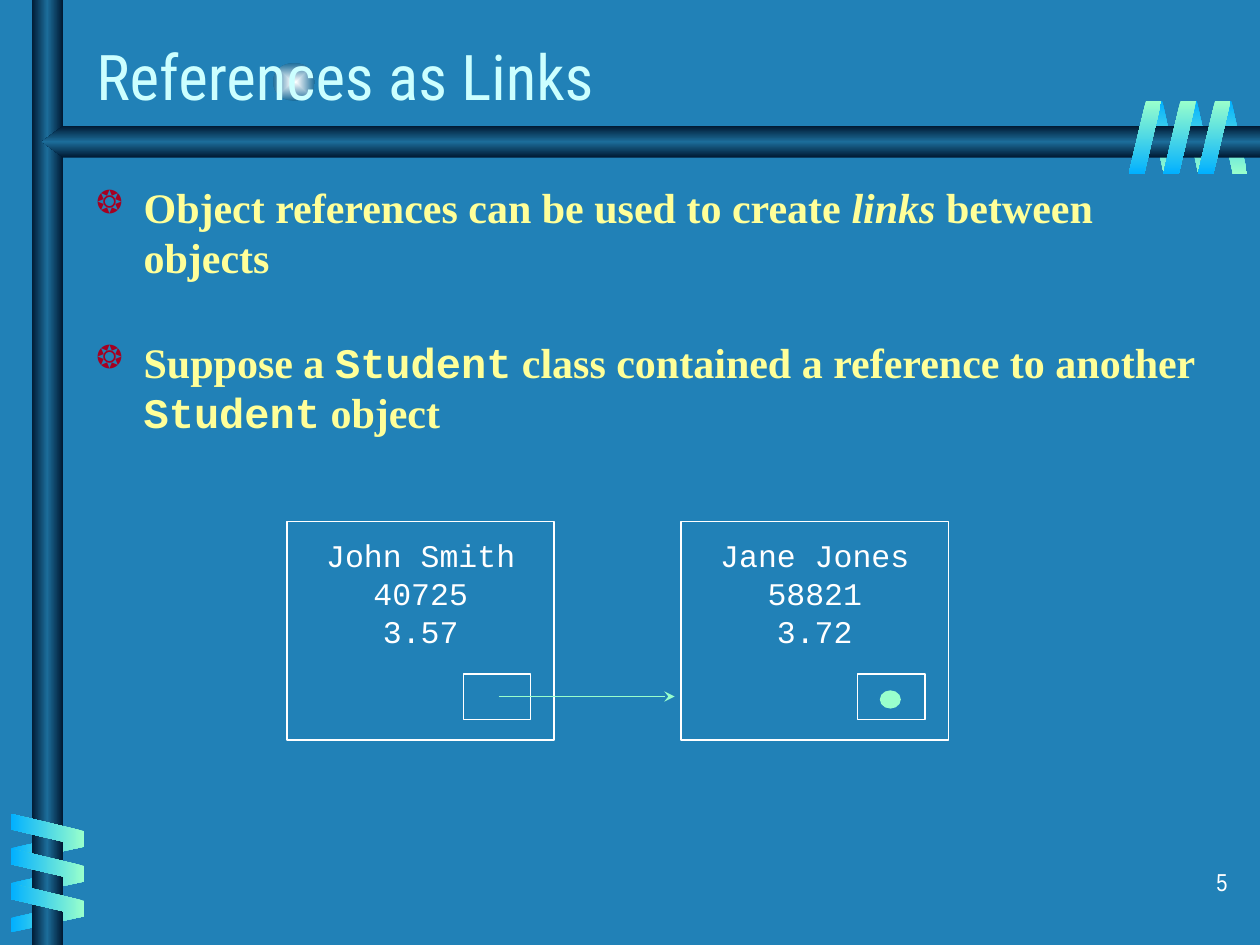
from pptx import Presentation
from pptx import oxml as ox
from pptx import util as u
from pptx.dml import color
from pptx.enum import shapes, text
from pptx.oxml import ns

Pt = u.Pt
RGB = color.RGBColor
KIND = shapes.MSO_SHAPE
SKY = RGB(0x21, 0x81, 0xB7)
ICE = RGB(0xCC, 0xFF, 0xFF)
CREAM = RGB(0xFF, 0xFF, 0x99)
WHITE = RGB(0xFF, 0xFF, 0xFF)
PEARL = RGB(0xFE, 0xFF, 0xFF)
MINT = RGB(0x99, 0xFF, 0xCC)
AZURE = RGB(0x01, 0xB0, 0xFF)
NAVY = RGB(0x00, 0x19, 0x32)
STEEL = RGB(0x1C, 0x6D, 0x9A)
RED = RGB(0xA5, 0x00, 0x21)

HEAD = {"name": "Roboto Condensed", "size": Pt(36), "color": ICE}
BODY = {"name": "Times New Roman", "size": Pt(24), "bold": True, "color": CREAM}
SLANT = {**BODY, "italic": True}
CODE = {**BODY, "name": "Courier New"}
DATA = {"name": "Courier New", "size": Pt(18), "color": WHITE}
PAGE = {"name": "Arial Narrow", "size": Pt(14), "color": WHITE}


def put(item, vals):
    """Set each attribute named in vals."""
    for key, val in vals.items():
        setattr(item, key, val)


def write(para, words, style):
    """Add one styled run to a paragraph."""
    run = para.add_run()
    run.text = words
    put(run.font, {k: v for k, v in style.items() if k != "color"})
    run.font.color.rgb = style["color"]


def blend(shape, tones, angle=None):
    """Fill a shape with evenly spaced tones, linear or from the centre."""
    step = 100000 // (len(tones) - 1)
    stops = "".join(
        f'<a:gs pos="{i * step}"><a:srgbClr val="{tone}"/></a:gs>'
        for i, tone in enumerate(tones))
    if angle is None:
        way = ('<a:path path="rect"><a:fillToRect l="50000" t="50000" '
               'r="50000" b="50000"/></a:path>')
    else:
        way = f'<a:lin ang="{angle * 60000}" scaled="0"/>'
    shape.fill.gradient()
    props = shape._element.spPr
    props.replace(props.find(ns.qn("a:gradFill")), ox.parse_xml(
        f'<a:gradFill {ns.nsdecls("a")} rotWithShape="0">'
        f'<a:gsLst>{stops}</a:gsLst>{way}</a:gradFill>'))
    shape.line.fill.background()
    shape.shadow.inherit = False


def draw(slide, kind, box, edge=None):
    """Add a bare preset shape, with a thin edge if a colour is given."""
    shape = slide.shapes.add_shape(kind, *map(Pt, box))
    shape.shadow.inherit = False
    shape.fill.background()
    if edge is not None:
        shape.line.color.rgb = edge
        shape.line.width = Pt(1)
    return shape


def coil(slide, box, step, turn, tones, angle, flip=False):
    """Place three slanted bands, each a step from the last."""
    left, top, wide, high = box
    for i in range(3):
        spot = (left + i * step[0], top + i * step[1], wide, high)
        band = draw(slide, KIND.PARALLELOGRAM, spot)
        band.adjustments[0] = 0.53
        band.rotation = turn
        if flip:
            band._element.spPr.xfrm.set("flipH", "1")
        blend(band, tones, angle)


def rails(slide, post, beam):
    """Place the upright post and the pointed beam."""
    blend(draw(slide, KIND.RECTANGLE, post), (NAVY, STEEL, NAVY), 180)
    left, top, wide, high = beam
    right, base, neck = left + wide, top + high, left + 12
    ends = [(neck, top), (left, top + high / 2), (neck, base), (right, base)]
    path = slide.shapes.build_freeform(Pt(right), Pt(top))
    path.add_line_segments([(Pt(x), Pt(y)) for x, y in ends], close=True)
    blend(path.convert_to_shape(), (NAVY, STEEL, NAVY), 90)


def decor(slide):
    """Place the glow, the rails and the coils around them."""
    blend(draw(slide, KIND.OVAL, (156, 36, 24, 21.6)), (PEARL, STEEL))
    across, down = (19.75, 0), (0, 19.9)
    back, front = (AZURE, MINT), (MINT, AZURE)
    coil(slide, (656, 57.6, 17.3, 42), across, 180, back, 90, True)
    coil(slide, (18.7, 463.2, 17.3, 42), down, 90, back, 180, True)
    rails(slide, (18, 0, 18, 540), (24, 72, 696, 18))
    coil(slide, (17.8, 453.4, 18.7, 42), down, 270, front, 180)
    coil(slide, (645, 57.6, 18.7, 42), across, 0, front, 90)


def frame(slide, box):
    """Add a wrapping text box and return its text frame."""
    area = slide.shapes.add_textbox(*map(Pt, box)).text_frame
    area.word_wrap = True
    return area


def title(slide, box):
    """Place the heading."""
    area = frame(slide, box)
    area.vertical_anchor = text.MSO_ANCHOR.MIDDLE
    write(area.paragraphs[0], "References as Links", HEAD)


def points(slide, box):
    """Place the bulleted points."""
    area = frame(slide, box)
    items = [
        (6, [("Object references can be used to create ", BODY),
             ("links", SLANT), (" between objects", BODY)]),
        (31, [("Suppose a ", BODY), ("Student", CODE),
              (" class contained a reference to another ", BODY),
              ("Student", CODE), (" object", BODY)]),
    ]
    for i, (gap, runs) in enumerate(items):
        para = area.add_paragraph() if i else area.paragraphs[0]
        para.space_before = Pt(gap)
        props = para._p.get_or_add_pPr()
        props.set("marL", str(Pt(27)))
        props.set("indent", str(Pt(-27)))
        for mark in (f'buClr {ns.nsdecls("a")}><a:srgbClr val="{RED}"/></a:buClr>',
                     f'buSzPct {ns.nsdecls("a")} val="75000"/>',
                     f'buChar {ns.nsdecls("a")} char="❂"/>'):
            props.append(ox.parse_xml("<a:" + mark))
        for words, style in runs:
            write(para, words, style)


def card(slide, box, lines):
    """Place one student object with its reference slot."""
    area = draw(slide, KIND.RECTANGLE, box, WHITE).text_frame
    put(area, {"word_wrap": False, "margin_bottom": Pt(47),
               "vertical_anchor": text.MSO_ANCHOR.MIDDLE})
    for i, line in enumerate(lines):
        para = area.add_paragraph() if i else area.paragraphs[0]
        para.alignment = text.PP_ALIGN.CENTER
        write(para, line, DATA)
    slot = (box[0] + 100.8, box[1] + 87.2, 38.4, 26)
    draw(slide, KIND.RECTANGLE, slot, WHITE)


def links(slide, box):
    """Place two linked student objects, the arrow and the end dot."""
    left, top, wide, high = box
    size = (152.8, high)
    card(slide, (left, top, *size), ("John Smith", "40725", "3.57"))
    card(slide, (left + wide - size[0], top, *size),
         ("Jane Jones", "58821", "3.72"))
    row = Pt(top + 100)
    arrow = slide.shapes.add_connector(
        shapes.MSO_CONNECTOR.STRAIGHT, Pt(left + 121), row, Pt(left + 221.5), row)
    arrow.line.color.rgb = MINT
    arrow.line.width = Pt(1)
    arrow.line._get_or_add_ln().append(
        ox.parse_xml(f'<a:tailEnd {ns.nsdecls("a")} type="stealth"/>'))
    arrow._element.spPr.append(ox.parse_xml(f'<a:effectLst {ns.nsdecls("a")}/>'))
    dot = draw(slide, KIND.OVAL, (left + 339.3, top + 97, 11, 9.4), MINT)
    dot.fill.solid()
    dot.fill.fore_color.rgb = MINT


def number(slide, box):
    """Place the page number."""
    para = frame(slide, box).paragraphs[0]
    put(para, {"alignment": text.PP_ALIGN.RIGHT, "space_before": Pt(8.8)})
    write(para, "5", PAGE)


def main():
    """Build and save the slide."""
    deck = Presentation()
    put(deck, {"slide_width": Pt(720), "slide_height": Pt(540)})
    slide = deck.slides.add_slide(deck.slide_layouts[6])
    slide.background.fill.solid()
    slide.background.fill.fore_color.rgb = SKY
    decor(slide)
    title(slide, (48, 16, 598, 54))
    points(slide, (48, 100, 654, 386))
    links(slide, (164, 298, 378, 125))
    number(slide, (558.5, 492, 150, 36))
    deck.save("out.pptx")


if __name__ == "__main__":
    main()
